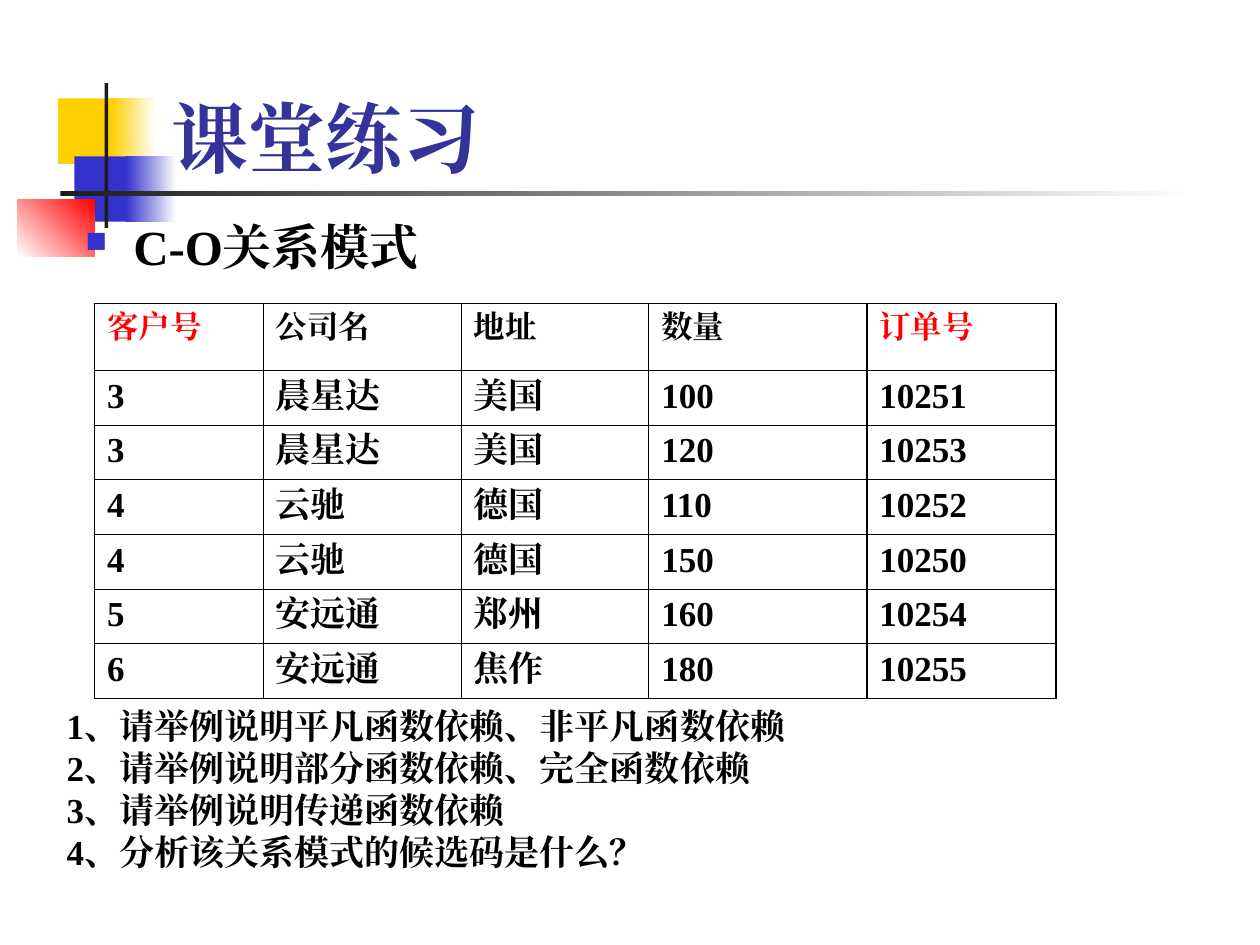
from lxml import etree
from pptx import Presentation
from pptx.dml.color import RGBColor
from pptx.enum import shapes, text
from pptx.oxml import ns
from pptx.util import Inches, Pt

FONT = "Times New Roman"
BLACK, WHITE, RED, BLUE = "000000", "FFFFFF", "FF0000", "3333CC"
YELLOW, DARK, NAVY = "FFCF01", "1C1C1C", "333399"
THIN, THICK = 0.45, 1.08

ROWS = [
    ("客户号", "公司名", "地址", "数量", "订单号"),
    ("3", "晨星达", "美国", "100", "10251"),
    ("3", "晨星达", "美国", "120", "10253"),
    ("4", "云驰", "德国", "110", "10252"),
    ("4", "云驰", "德国", "150", "10250"),
    ("5", "安远通", "郑州", "160", "10254"),
    ("6", "安远通", "焦作", "180", "10255"),
]
COLUMN_WIDTHS = [1.34, 1.57, 1.49, 1.73, 1.5]
KEY_COLUMNS = (0, 4)
QUESTIONS = [
    "1、请举例说明平凡函数依赖、非平凡函数依赖",
    "2、请举例说明部分函数依赖、完全函数依赖",
    "3、请举例说明传递函数依赖",
    "4、分析该关系模式的候选码是什么？",
]


def color(value):
    return RGBColor.from_string(value)


def add_element(parent, tag, **attributes):
    return etree.SubElement(parent, ns.qn(tag), attributes)


def write(paragraph, content, size, hex_color):
    run = paragraph.add_run()
    run.text = content
    for name, value in {"name": FONT, "size": Pt(size), "bold": True}.items():
        setattr(run.font, name, value)
    run.font.color.rgb = color(hex_color)
    add_element(run.font._element, "a:ea", typeface=FONT)


def add_block(slide, left, top, width, height, start, end=None, angle=0):
    shape = slide.shapes.add_shape(
        shapes.MSO_SHAPE.RECTANGLE, Inches(left), Inches(top), Inches(width), Inches(height))
    shape.shadow.inherit = False
    shape.line.fill.background()
    if end is None:
        shape.fill.solid()
        shape.fill.fore_color.rgb = color(start)
        return
    shape.fill.gradient()
    shape.fill.gradient_angle = angle
    for stop, value in zip(shape.fill.gradient_stops, (start, end)):
        stop.color.rgb = color(value)


def add_ornament(slide, left, top):
    blocks = [
        (0.32, 0.12, 0.48, 0.52, YELLOW),
        (0.74, 0.12, 0.36, 0.52, YELLOW, WHITE),
        (0.45, 0.58, 0.46, 0.52, BLUE),
        (0.86, 0.58, 0.4, 0.52, BLUE, WHITE),
        (0, 0.92, 0.61, 0.46, WHITE, RED, 45),
        (0.69, 0, 0.03, 1.15, DARK),
        (0.34, 0.86, 9, 0.04, DARK, WHITE),
    ]
    for x, y, *block in blocks:
        add_block(slide, left + x, top + y, *block)


def add_text(slide, left, top, width, height, lines, size, hex_color,
             anchor=text.MSO_ANCHOR.TOP, bullet=False):
    box = slide.shapes.add_textbox(Inches(left), Inches(top), Inches(width), Inches(height))
    frame = box.text_frame
    for name, value in {"word_wrap": True, "vertical_anchor": anchor}.items():
        setattr(frame, name, value)
    for index, line in enumerate(lines):
        paragraph = frame.add_paragraph() if index else frame.paragraphs[0]
        if bullet:
            add_bullet(paragraph)
        write(paragraph, line, size, hex_color)


def add_bullet(paragraph):
    properties = paragraph._p.get_or_add_pPr()
    indent = Inches(0.38)
    properties.set("marL", str(indent))
    properties.set("indent", str(-indent))
    add_element(add_element(properties, "a:buClr"), "a:srgbClr", val=BLUE)
    add_element(properties, "a:buSzPct", val="60000")
    add_element(properties, "a:buChar", char="■")


def set_borders(cell, thick_sides):
    properties = cell._tc.get_or_add_tcPr()
    for index, side in enumerate("LRTB"):
        width = Pt(THICK if side in thick_sides else THIN)
        line = etree.Element(ns.qn(f"a:ln{side}"), w=str(width))
        add_element(add_element(line, "a:solidFill"), "a:srgbClr", val=BLACK)
        properties.insert(index, line)


def add_order_table(slide, left, top, width, height):
    table = slide.shapes.add_table(
        len(ROWS), len(COLUMN_WIDTHS),
        Inches(left), Inches(top), Inches(width), Inches(height)).table
    table.first_row = table.horz_banding = False
    for column, column_width in zip(table.columns, COLUMN_WIDTHS):
        column.width = Inches(column_width)
    last_row, last_column = len(ROWS) - 1, len(COLUMN_WIDTHS) - 1
    for r, values in enumerate(ROWS):
        table.rows[r].height = Inches(0.43 if r else 0.53)
        for c, value in enumerate(values):
            cell = table.cell(r, c)
            cell.fill.background()
            thick = {"L": c in KEY_COLUMNS, "R": c >= last_column - 1,
                     "T": r == 0, "B": r == last_row}
            set_borders(cell, [side for side in thick if thick[side]])
            is_key = r == 0 and c in KEY_COLUMNS
            write(cell.text_frame.paragraphs[0], value, 20 if r else 18, RED if is_key else BLACK)


def main():
    presentation = Presentation()
    presentation.slide_width, presentation.slide_height = Inches(10), Inches(7.5)
    slide = presentation.slides.add_slide(presentation.slide_layouts[6])
    add_ornament(slide, 0.14, 0.66)
    add_text(slide, 1.26, 0.25, 8.41, 1.25, ["课堂练习"], 44, NAVY, text.MSO_ANCHOR.BOTTOM)
    add_text(slide, 0.58, 1.67, 6.07, 3.39, ["C-O关系模式"], 28, BLACK, bullet=True)
    add_text(slide, 0.43, 5.54, 6.38, 1.44, QUESTIONS, 20, BLACK)
    add_order_table(slide, 0.75, 2.41, 7.63, 3.11)
    presentation.save("out.pptx")


if __name__ == "__main__":
    main()
